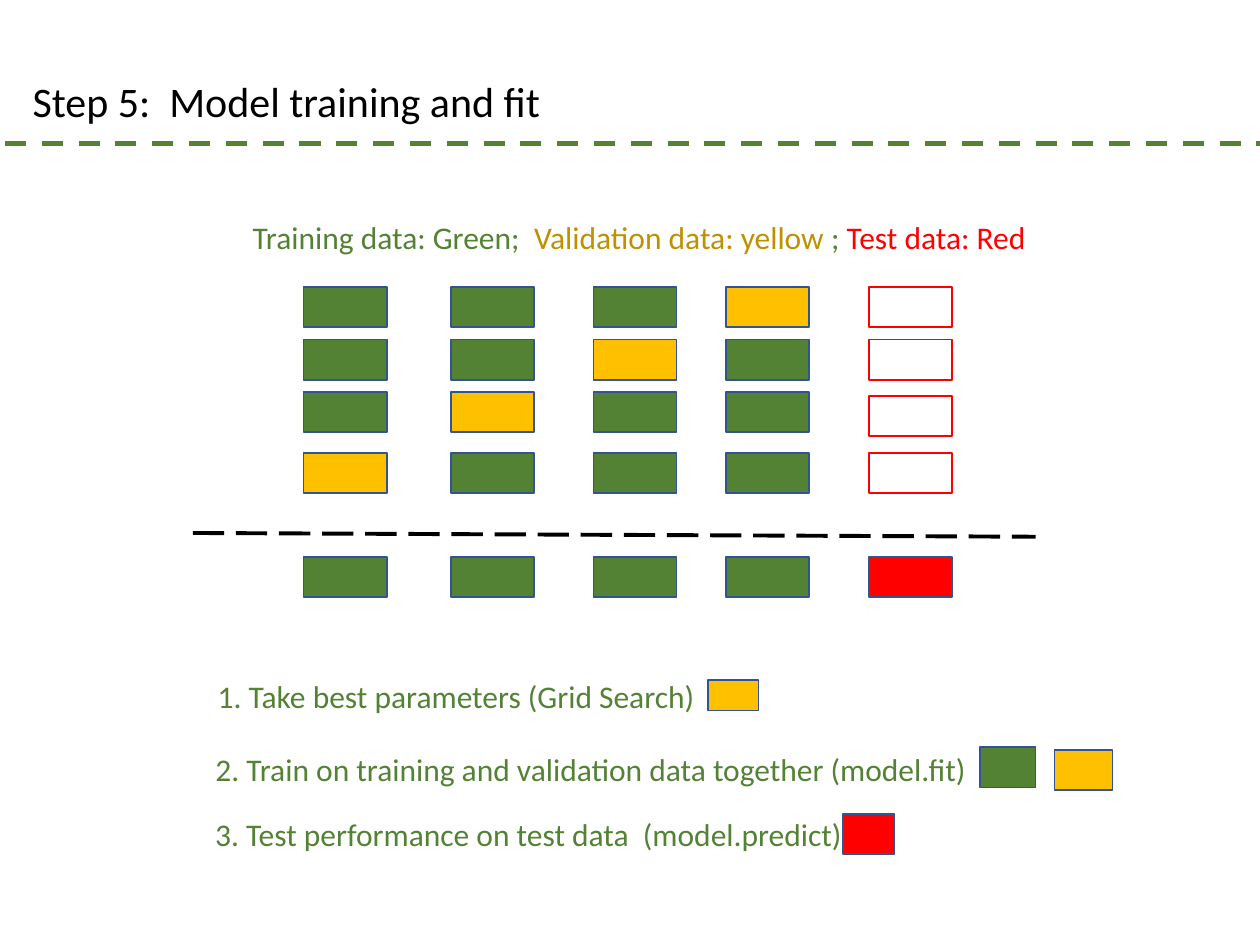
"""Build the slide on model training and fit."""
from dataclasses import dataclass
from typing import Optional

from lxml.etree import SubElement
from pptx import Presentation
from pptx.dml.color import RGBColor
from pptx.enum.dml import MSO_LINE_DASH_STYLE as Dash
from pptx.enum.shapes import MSO_CONNECTOR as Connector, MSO_SHAPE as Preset
from pptx.enum.text import MSO_ANCHOR as Anchor, MSO_AUTO_SIZE as AutoSize, PP_ALIGN as Align
from pptx.oxml.ns import qn
from pptx.slide import Slide
from pptx.util import Inches, Length, Pt

GREEN = RGBColor(0x54, 0x82, 0x35)
YELLOW = RGBColor(0xFF, 0xC0, 0x00)
GOLD = RGBColor(0xBF, 0x90, 0x00)
RED = RGBColor(0xFF, 0x00, 0x00)
BLUE = RGBColor(0x32, 0x54, 0x91)
BLACK = RGBColor(0x00, 0x00, 0x00)

FONT = "Calibri"
PAGE_COLUMNS, PAGE_ROWS = 100, 75
DATA_COLUMNS = (24.1, 35.8, 47.1, 57.6)
TEST_COLUMN = 68.95
FOLD_ROWS = (22.75, 26.95, 31.1, 35.95)
FINAL_ROW = 44.2
BLOCK_WIDTH, BLOCK_HEIGHT = 6.6, 3.2


@dataclass(frozen=True)
class Block:
    """A data block placed in page columns and rows."""
    column: float
    row: float
    fill: Optional[RGBColor]
    outline: RGBColor = BLUE
    width: float = BLOCK_WIDTH
    height: float = BLOCK_HEIGHT


@dataclass(frozen=True)
class Rule:
    """A dashed line between two grid points."""
    start: tuple[float, float]
    end: tuple[float, float]
    color: RGBColor
    weight: float
    dash: Dash


@dataclass(frozen=True)
class Label:
    """A line of text made of coloured pieces."""
    column: float
    row: float
    width: float
    height: float
    pieces: tuple[tuple[str, RGBColor], ...]
    align: Align = Align.LEFT
    size: int = 18
    anchor: Anchor = Anchor.MIDDLE
    grows: bool = False


KEY_BLOCKS = (
    Block(56.2, 54, YELLOW, width=4, height=2.4),
    Block(77.8, 59.3, GREEN, width=4.4),
    Block(83.7, 59.5, YELLOW, width=4.6),
    Block(66.9, 64.6, RED, width=4.1),
)
RULES = (
    Rule((15.3, 42.3), (82.2, 42.6), BLACK, 2.25, Dash.LONG_DASH),
    Rule((0.4, 11.4), (100.4, 11.4), GREEN, 3, Dash.DASH),
)
LABELS = (
    Label(1.6, 5.5, 61.9, 5, (("Step 5:  Model training and fit", BLACK),),
          size=24, anchor=Anchor.TOP, grows=True),
    Label(18.9, 16.3, 64.2, 5, (
        ("Training data: Green;  ", GREEN), ("Validation data: yellow ", GOLD),
        ("; ", GREEN), ("Test data: Red ", RED)), Align.CENTER),
    Label(16.3, 52.6, 52.7, 5.3, (("1. Take best parameters (Grid Search)", GREEN),)),
    Label(15.1, 58.4, 63.6, 5.3, (
        ("2. Train on training and validation data together (model.fit)", GREEN),), Align.CENTER),
    Label(16.1, 63.5, 63.6, 5.3, (
        ("3. Test performance on test data  (model.predict)", GREEN),)),
)


def grid(*steps: float) -> list[Length]:
    """Turn grid steps into lengths."""
    return [Inches(step / 10) for step in steps]


def fold_blocks() -> list[Block]:
    """List the cross-validation folds and the final row."""
    blocks = []
    for fold, row in enumerate(FOLD_ROWS):
        held_out = len(DATA_COLUMNS) - 1 - fold
        for index, column in enumerate(DATA_COLUMNS):
            blocks.append(Block(column, row, YELLOW if index == held_out else GREEN))
        test_row = row + 0.3 if fold == 2 else row
        blocks.append(Block(TEST_COLUMN, test_row, None, RED))
    blocks += [Block(column, FINAL_ROW, GREEN) for column in DATA_COLUMNS]
    return blocks + [Block(TEST_COLUMN, FINAL_ROW, RED)]


def draw_block(page: Slide, block: Block) -> None:
    """Draw one data block."""
    box = page.shapes.add_shape(
        Preset.RECTANGLE, *grid(block.column, block.row, block.width, block.height))
    box.shadow.inherit = False
    if block.fill is None:
        box.fill.background()
    else:
        box.fill.solid()
        box.fill.fore_color.rgb = block.fill
    box.line.color.rgb = block.outline
    box.line.width = Pt(1)


def draw_rule(page: Slide, rule: Rule) -> None:
    """Draw one dashed line."""
    line = page.shapes.add_connector(Connector.STRAIGHT, *grid(*rule.start, *rule.end))
    line.line.color.rgb = rule.color
    line.line.width = Pt(rule.weight)
    line.line.dash_style = rule.dash
    SubElement(line._element.spPr, qn("a:effectLst"))


def draw_label(page: Slide, label: Label) -> None:
    """Draw one line of text."""
    box = page.shapes.add_textbox(*grid(label.column, label.row, label.width, label.height))
    frame = box.text_frame
    frame.word_wrap = True
    frame.vertical_anchor = label.anchor
    frame.auto_size = AutoSize.SHAPE_TO_FIT_TEXT if label.grows else AutoSize.NONE
    para = frame.paragraphs[0]
    para.alignment = label.align
    for text, color in label.pieces:
        span = para.add_run()
        span.text = text
        span.font.name = FONT
        span.font.size = Pt(label.size)
        span.font.color.rgb = color


def main() -> None:
    """Build and save the deck."""
    deck = Presentation()
    deck.slide_width, deck.slide_height = grid(PAGE_COLUMNS, PAGE_ROWS)
    page = deck.slides.add_slide(deck.slide_layouts[6])
    for block in (*fold_blocks(), *KEY_BLOCKS):
        draw_block(page, block)
    for rule in RULES:
        draw_rule(page, rule)
    for label in LABELS:
        draw_label(page, label)
    deck.save("out.pptx")


if __name__ == "__main__":
    main()
